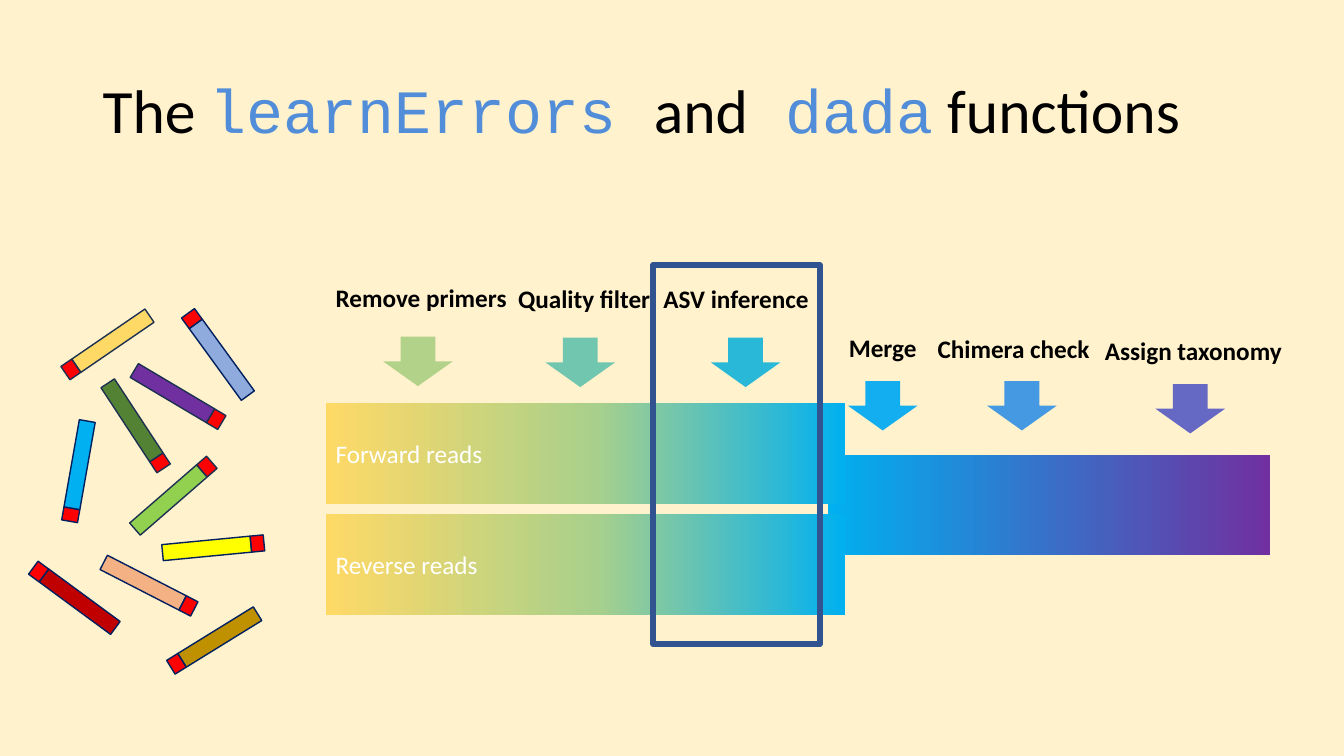
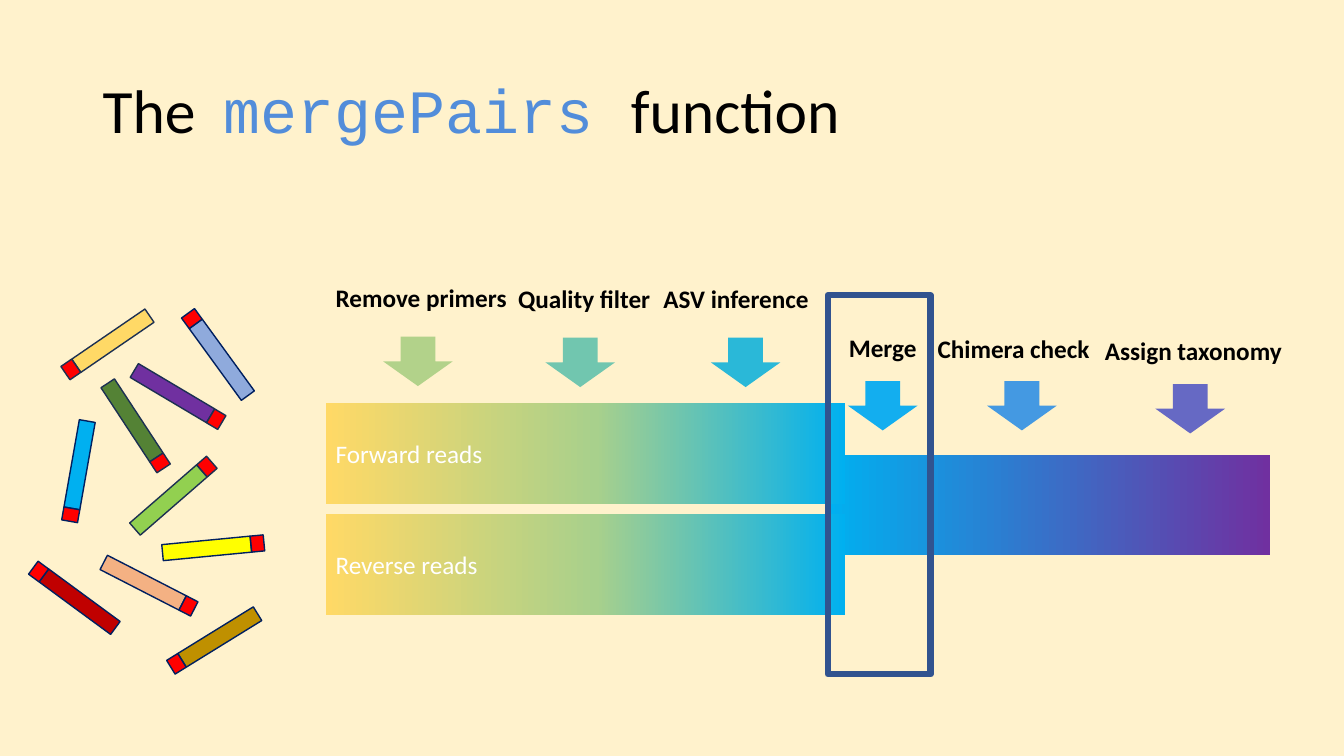
from copy import deepcopy
from math import cos, radians, sin

from pptx import Presentation
from pptx.dml.color import RGBColor
from pptx.enum.shapes import MSO_SHAPE as Shape
from pptx.enum.text import MSO_ANCHOR as Anchor, MSO_AUTO_SIZE as AutoSize, PP_ALIGN as Align
from pptx.oxml.ns import qn
from pptx.util import Inches, Pt

COLORS = {
    "background": "FFF2CC", "text": "000000", "code": "528DDA", "bar_text": "FFFFFF",
    "yellow": "FFD966", "green": "A8D08C", "blue": "00B0F0", "purple": "7030A0",
    "frame": "31538F", "primer": "FF0000", "outline": "1C3052", "navy": "002060",
    "forest": "548235", "lime": "92D050", "peach": "F4B183", "bright": "FFFF00",
    "crimson": "C00000", "ochre": "BF9000", "periwinkle": "8FAADC",
    "remove": "B2D28A", "filter": "71C6AF", "infer": "2AB8D8",
    "merge": "13AEEF", "chimera": "4499E2", "taxonomy": "6669C4",
}
BODY_FONT, CODE_FONT = "Calibri", "Courier New"

PIPELINE_BOX = (3.23, 2.75)
READS_BOX = (0.28, 3.05)
BAR_HEIGHT = 1
READS_STOPS = [(0, "yellow"), (0.52, "green"), (1, "blue")]
MERGED_STOPS = [(0, "blue"), (1, "purple")]

# Step: label, label left, top and width, arrow left and top (from the pipeline corner), colour
STEPS = [
    ("Remove primers", 0, 0, 1.91, 0.57, 0.59, "remove"),
    ("Quality filter", 1.81, 0.01, 1.53, 2.18, 0.6, "filter"),
    ("ASV inference", 3.25, 0.01, 1.65, 3.82, 0.6, "infer"),
    ("Merge", 5.09, 0.5, 0.88, 5.18, 1.03, "merge"),
    ("Chimera check", 5.97, 0.51, 1.72, 6.56, 1.03, "chimera"),
    ("Assign taxonomy", 7.63, 0.53, 1.97, 8.23, 1.06, "taxonomy"),
]

# Read: centre (from the corner of the reads), rotation, colour, outline
READ_LENGTH, PRIMER_LENGTH, READ_WIDTH = 0.88, 0.13, 0.16
READS = [
    (0.84, 0.33, 325.6, "yellow", "outline"),
    (1.43, 0.85, 210.7, "purple", "outline"),
    (1.03, 1.12, 236.7, "forest", "outline"),
    (1.39, 1.91, 139, "lime", "outline"),
    (0.51, 1.56, 280, "blue", "navy"),
    (1.14, 2.73, 207.2, "peach", "navy"),
    (1.77, 2.39, 174.5, "bright", "navy"),
    (0.51, 2.92, 36.3, "crimson", "navy"),
    (1.9, 3.27, 328.3, "ochre", "navy"),
    (1.92, 0.52, 54, "periwinkle", "navy"),
]

# Slide: title runs (text, is code), frame around the current step
SLIDES = [
    ([("The ", False), ("learnErrors ", True), ("and", False), (" dada", True),
      (" functions", False)], (6.48, 2.63, 1.65, 3.76)),
    ([("The  ", False), ("mergePairs ", True), ("function", False)],
     (8.21, 2.93, 1.02, 3.76)),
]


def rgb(name):
    return RGBColor.from_string(COLORS[name])


def style_font(run, size, color, name=BODY_FONT, bold=False):
    run.font.size, run.font.name, run.font.bold = Pt(size), name, bold
    run.font.color.rgb = rgb(color)


def add_block(shapes, kind, box, fill=None, line=None, weight=1):
    block = shapes.add_shape(kind, *map(Inches, box))
    block.shadow.inherit = False
    if fill:
        block.fill.solid()
        block.fill.fore_color.rgb = rgb(fill)
    else:
        block.fill.background()
    if line:
        block.line.color.rgb = rgb(line)
        block.line.width = Pt(weight)
    else:
        block.line.fill.background()
    return block


def add_bar(slide, box, stops, caption=""):
    bar = add_block(slide.shapes, Shape.RECTANGLE, box)
    bar.fill.gradient()
    bar.fill.gradient_angle = 0
    stop_list = bar._element.spPr.find(".//" + qn("a:gsLst"))
    while len(stop_list) < len(stops):
        stop_list.append(deepcopy(stop_list[-1]))
    for stop, (position, color) in zip(bar.fill.gradient_stops, stops):
        stop.position = position
        stop.color.rgb = rgb(color)
    if caption:
        bar.text_frame.text = caption
        bar.text_frame.vertical_anchor = Anchor.MIDDLE
        paragraph = bar.text_frame.paragraphs[0]
        paragraph.alignment = Align.LEFT
        style_font(paragraph.runs[0], 18, "bar_text")


def add_title(slide, parts):
    title = slide.shapes.add_textbox(*map(Inches, (0.92, 0.4, 11.5, 1.45))).text_frame
    title.word_wrap = True
    title.vertical_anchor = Anchor.MIDDLE
    paragraph = title.paragraphs[0]
    paragraph.line_spacing = 0.9
    for text, is_code in parts:
        run = paragraph.add_run()
        run.text = text
        style_font(run, 44, "code" if is_code else "text",
                   CODE_FONT if is_code else BODY_FONT)


def add_step(slide, left, top, step):
    caption, label_x, label_y, width, arrow_x, arrow_y, color = step
    add_block(slide.shapes, Shape.DOWN_ARROW,
              (left + arrow_x, top + arrow_y, 0.69, 0.49), color)
    label = slide.shapes.add_textbox(
        *map(Inches, (left + label_x, top + label_y, width, 0.4))).text_frame
    label.text = caption
    label.word_wrap = False
    label.auto_size = AutoSize.SHAPE_TO_FIT_TEXT
    style_font(label.paragraphs[0].runs[0], 18, "text", bold=True)


def add_pipeline(slide, left, top):
    # Bars: the merged reads lie behind the two read directions
    add_bar(slide, (left + 4.98, top + 1.76, 4.39, BAR_HEIGHT), MERGED_STOPS)
    for row, caption in enumerate(("Forward reads", "Reverse reads")):
        bar_top = top + 1.25 + row * (BAR_HEIGHT + 0.1)
        add_bar(slide, (left, bar_top, 5.15, BAR_HEIGHT), READS_STOPS, caption)
    for step in STEPS:
        add_step(slide, left, top, step)


def add_reads(slide, left, top):
    primer_offset = (READ_LENGTH + PRIMER_LENGTH) / 2
    for x, y, angle, color, outline in READS:
        read = slide.shapes.add_group_shape()
        # The primer sits at the start of the read, along its axis
        for length, offset, fill in ((READ_LENGTH, 0, color),
                                     (PRIMER_LENGTH, primer_offset, "primer")):
            center_x = left + x - offset * cos(radians(angle))
            center_y = top + y - offset * sin(radians(angle))
            box = (center_x - length / 2, center_y - READ_WIDTH / 2, length, READ_WIDTH)
            add_block(read.shapes, Shape.RECTANGLE, box, fill, outline).rotation = angle


def add_function_slide(prs, title_parts, frame_box):
    slide = prs.slides.add_slide(prs.slide_layouts[6])
    add_title(slide, title_parts)
    add_pipeline(slide, *PIPELINE_BOX)
    # Frame around the current step
    add_block(slide.shapes, Shape.RECTANGLE, frame_box, line="frame", weight=4.5)
    add_reads(slide, *READS_BOX)


def main():
    prs = Presentation()
    prs.slide_width, prs.slide_height = Inches(13.33), Inches(7.5)
    backdrop = prs.slide_master.background.fill
    backdrop.solid()
    backdrop.fore_color.rgb = rgb("background")
    for title_parts, frame_box in SLIDES:
        add_function_slide(prs, title_parts, frame_box)
    prs.save("out.pptx")


if __name__ == "__main__":
    main()
